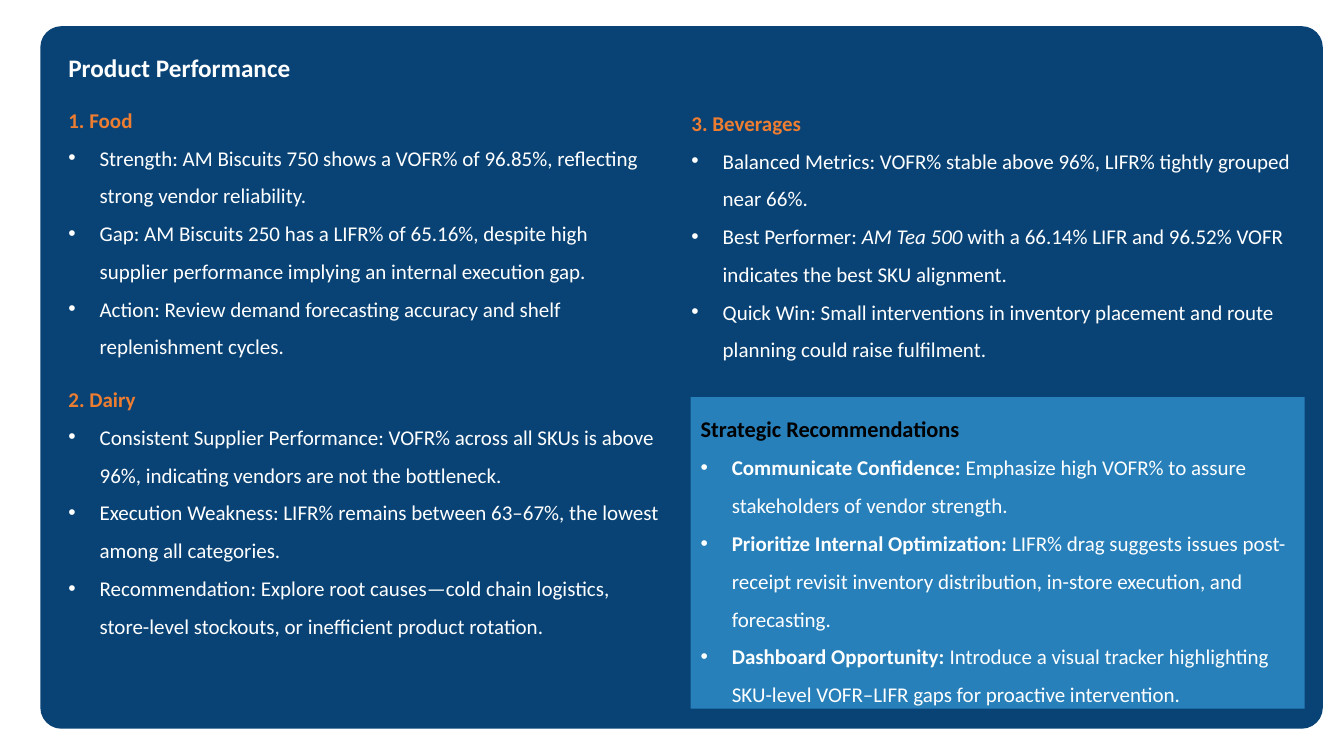
from pptx import Presentation
from pptx.dml.color import RGBColor
from pptx.enum.shapes import MSO_SHAPE
from pptx.enum.text import MSO_ANCHOR, MSO_AUTO_SIZE, PP_ALIGN
from pptx.oxml.ns import qn
from pptx.util import Inches, Pt
from lxml import etree

ROUNDED = MSO_SHAPE.ROUNDED_RECTANGLE
RECTANGLE = MSO_SHAPE.RECTANGLE
TOP = MSO_ANCHOR.TOP
GROW = MSO_AUTO_SIZE.SHAPE_TO_FIT_TEXT
LEFT = PP_ALIGN.LEFT

NAVY = RGBColor(0x09, 0x43, 0x75)
BLUE = RGBColor(0x27, 0x80, 0xBA)
ORANGE = RGBColor(0xED, 0x7D, 0x31)
WHITE = RGBColor(0xFF, 0xFF, 0xFF)
BLACK = RGBColor(0x00, 0x00, 0x00)

INDENT = Inches(0.31)
BODY = {"name": "Calibri", "size": Pt(15), "bold": False, "italic": False}
BOLD = {"bold": True}
ITALIC = {"italic": True}

PANEL_BOX = (0.4, 0.26, 12.72, 6.97)
TITLE_BOX = (0.58, 0.47, 6.67, 0.4)
RECOMMENDATIONS_BOX = (6.85, 3.94, 6.09, 3.09)

CATEGORIES = [
    ((0.58, 0.89, 5.86, 2.71), "1. Food", [
        [("Strength: AM Biscuits 750 shows a VOFR% of 96.85%, reflecting strong vendor reliability.", {})],
        [("Gap: AM Biscuits 250 has a LIFR% of 65.16%, despite high supplier performance "
          "implying an internal execution gap.", {})],
        [("Action: Review demand forecasting accuracy and shelf replenishment cycles.", {})],
    ]),
    ((0.58, 3.66, 6.09, 2.71), "2. Dairy", [
        [("Consistent Supplier Performance: VOFR% across all SKUs is above 96%, "
          "indicating vendors are not the bottleneck.", {})],
        [("Execution Weakness: LIFR% remains between 63–67%, the lowest among all categories.", {})],
        [("Recommendation: Explore root causes—cold chain logistics, store-level stockouts, "
          "or inefficient product rotation.", {})],
    ]),
    ((6.76, 0.92, 6.26, 2.71), "3. Beverages", [
        [("Balanced Metrics: VOFR% stable above 96%, LIFR% tightly grouped near 66%.", {})],
        [("Best Performer: ", {}), ("AM Tea 500", ITALIC),
         (" with a 66.14% LIFR and 96.52% VOFR indicates the best SKU alignment.", {})],
        [("Quick Win: Small interventions in inventory placement and route planning "
          "could raise fulfilment.", {})],
    ]),
]

RECOMMENDATIONS = [
    [("Communicate Confidence: ", BOLD),
     ("Emphasize high VOFR% to assure stakeholders of vendor strength.", {})],
    [("Prioritize Internal Optimization: ", BOLD),
     ("LIFR% drag suggests issues post-receipt revisit inventory distribution, "
      "in-store execution, and forecasting.", {})],
    [("Dashboard Opportunity: ", BOLD),
     ("Introduce a visual tracker highlighting SKU-level VOFR–LIFR gaps "
      "for proactive intervention.", {})],
]


def add_run(paragraph, text, color, **formats):
    run = paragraph.add_run()
    run.text = text
    for attribute, value in {**BODY, **formats}.items():
        setattr(run.font, attribute, value)
    run.font.color.rgb = color


def add_bullet(paragraph):
    properties = paragraph._p.get_or_add_pPr()
    properties.set("marL", str(INDENT))
    properties.set("indent", str(-INDENT))
    etree.SubElement(properties, qn("a:buFont"), typeface="Arial")
    etree.SubElement(properties, qn("a:buChar"), char="•")


def add_panel(slide, box, preset, color):
    shape = slide.shapes.add_shape(preset, *map(Inches, box))
    shape.shadow.inherit = False
    shape.fill.solid()
    shape.fill.fore_color.rgb = color
    shape.line.fill.background()
    return shape


def prepare_frame(shape):
    frame = shape.text_frame
    settings = {"word_wrap": True, "vertical_anchor": TOP, "auto_size": GROW}
    for attribute, value in settings.items():
        setattr(frame, attribute, value)
    return frame


def write_section(shape, heading, bullets, color, size):
    frame = prepare_frame(shape)
    paragraph = frame.paragraphs[0]
    paragraph.alignment = LEFT
    paragraph.line_spacing = 1.5
    add_run(paragraph, heading, color, size=size, bold=True)
    for runs in bullets:
        paragraph = frame.add_paragraph()
        paragraph.alignment = LEFT
        paragraph.line_spacing = 1.5
        add_bullet(paragraph)
        for text, formats in runs:
            add_run(paragraph, text, WHITE, **formats)


def add_title(slide, box):
    frame = prepare_frame(slide.shapes.add_textbox(*map(Inches, box)))
    add_run(frame.paragraphs[0], "Product Performance", WHITE, size=Pt(18), bold=True)


def add_category(slide, box, heading, bullets):
    shape = slide.shapes.add_textbox(*map(Inches, box))
    write_section(shape, heading, bullets, ORANGE, Pt(15))


def add_recommendations(slide, box):
    shape = add_panel(slide, box, RECTANGLE, BLUE)
    write_section(shape, "Strategic Recommendations", RECOMMENDATIONS, BLACK, Pt(16))


def main():
    presentation = Presentation()
    presentation.slide_width = Inches(13.33)
    presentation.slide_height = Inches(7.5)
    slide = presentation.slides.add_slide(presentation.slide_layouts[6])
    panel = add_panel(slide, PANEL_BOX, ROUNDED, NAVY)
    panel.adjustments[0] = 0.03
    for box, heading, bullets in CATEGORIES:
        add_category(slide, box, heading, bullets)
    add_recommendations(slide, RECOMMENDATIONS_BOX)
    add_title(slide, TITLE_BOX)
    presentation.save("out.pptx")


if __name__ == "__main__":
    main()
